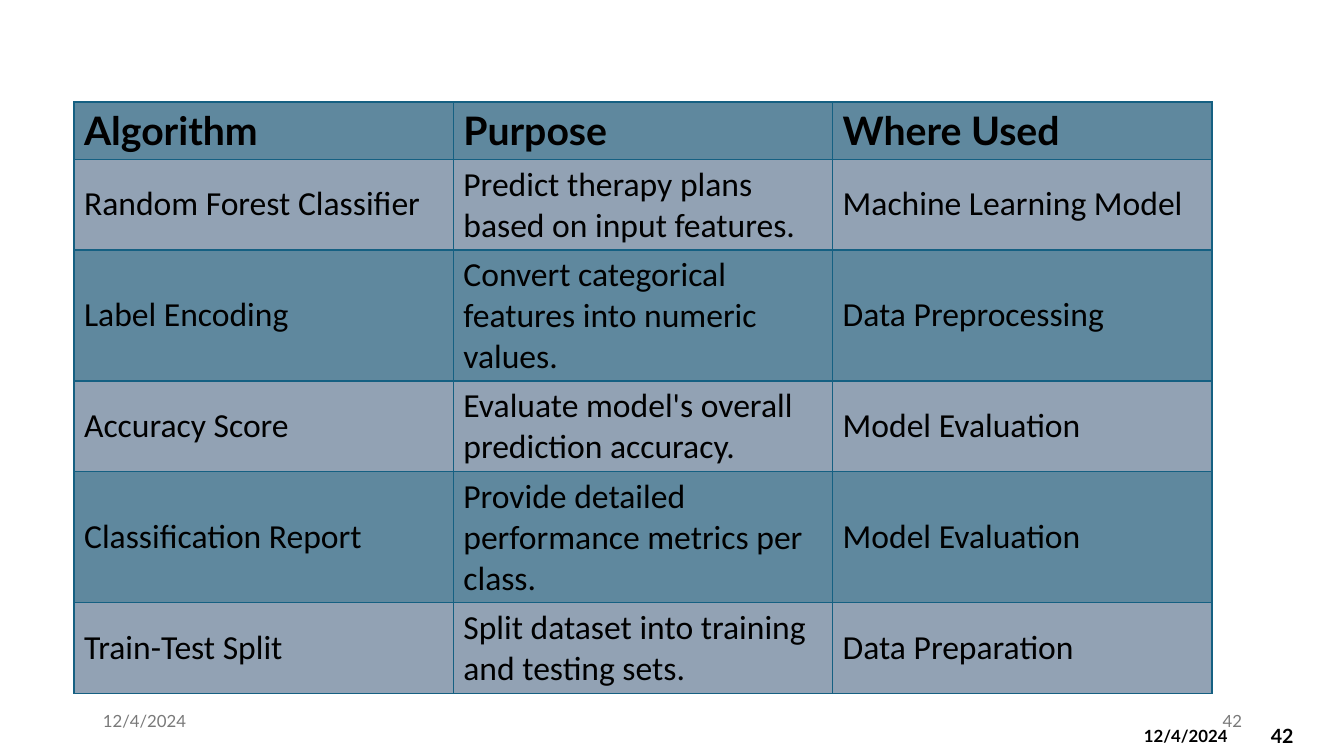
import pptx
import pptx.dml.color
import pptx.enum.text
import pptx.oxml
import pptx.oxml.ns
import pptx.util

RGBColor = pptx.dml.color.RGBColor
BLACK = RGBColor(0x00, 0x00, 0x00)
GREY = RGBColor(0x79, 0x79, 0x79)
BORDER = RGBColor(0x15, 0x60, 0x82)
DARK_BAND = RGBColor(0x5F, 0x88, 0x9E)
LIGHT_BAND = RGBColor(0x92, 0xA2, 0xB4)

ALIGN = pptx.enum.text.PP_ALIGN
MIDDLE = pptx.enum.text.MSO_ANCHOR.MIDDLE
TOP = pptx.enum.text.MSO_ANCHOR.TOP
EMU_PER_PX = 914400 / 100.8

DATE = "12/4/2024"
PAGE_NUMBER = "42"
HEADER_HEIGHT = 57
ROW_HEIGHTS = [HEADER_HEIGHT, 90, 131, 90, 131, 90]
ALGORITHMS = [
    ("Algorithm", "Purpose", "Where Used"),
    ("Random Forest Classifier", "Predict therapy plans based on input features.",
     "Machine Learning Model"),
    ("Label Encoding", "Convert categorical features into numeric values.",
     "Data Preprocessing"),
    ("Accuracy Score", "Evaluate model's overall prediction accuracy.",
     "Model Evaluation"),
    ("Classification Report", "Provide detailed performance metrics per class.",
     "Model Evaluation"),
    ("Train-Test Split", "Split dataset into training and testing sets.",
     "Data Preparation"),
]


def px(length):
    return pptx.util.Emu(round(length * EMU_PER_PX))


def add_span(para, text, font, size, color, bold=False):
    span = para.add_run()
    span.text = text
    span.font.name = font
    span.font.size = pptx.util.Pt(size)
    span.font.bold = bold
    span.font.color.rgb = color


def add_label(slide, box, text, size, color, bold=False, align=ALIGN.LEFT, anchor=MIDDLE):
    frame = slide.shapes.add_textbox(*map(px, box)).text_frame
    frame.word_wrap = True
    frame.vertical_anchor = anchor
    para = frame.paragraphs[0]
    para.alignment = align
    add_span(para, text, "Lato", size, color, bold)


def set_borders(cell):
    """Draw a 1 pt line on all four sides, ahead of the cell's fill."""
    properties = cell._tc.get_or_add_tcPr()
    for index, side in enumerate(("lnL", "lnR", "lnT", "lnB")):
        line = pptx.oxml.parse_xml(
            f'<a:{side} {pptx.oxml.ns.nsdecls("a")} w="12700"><a:solidFill>'
            f'<a:srgbClr val="{BORDER}"/></a:solidFill></a:{side}>')
        properties.insert(index, line)


def add_algorithm_table(slide, box):
    table = slide.shapes.add_table(
        len(ALGORITHMS), len(ALGORITHMS[0]), *map(px, box)).table
    for row, height in zip(table.rows, ROW_HEIGHTS):
        row.height = px(height)
    for row_index, texts in enumerate(ALGORITHMS):
        is_header = row_index == 0
        for column_index, text in enumerate(texts):
            cell = table.cell(row_index, column_index)
            cell.vertical_anchor = MIDDLE
            cell.fill.solid()
            cell.fill.fore_color.rgb = LIGHT_BAND if row_index % 2 else DARK_BAND
            set_borders(cell)
            add_span(cell.text_frame.paragraphs[0], text,
                     "Lato" if is_header else "Calibri",
                     28 if is_header else 24, BLACK, is_header)


def add_footer(slide, box):
    """Place the grey date and number, and the bold pair at the right edge."""
    left, top, width, height = box
    right = left + width
    label_width = 302
    add_label(slide, (left, top, label_width, height), DATE, 12, GREY)
    add_label(slide, (right - label_width, top, label_width, height),
              PAGE_NUMBER, 12, GREY, align=ALIGN.RIGHT)
    add_label(slide, (right - 118, top + 20, 118, 30), DATE, 12, BLACK, True, anchor=TOP)
    add_label(slide, (right + 9, top + 15, 75, height), PAGE_NUMBER, 14, BLACK, True)


def main():
    deck = pptx.Presentation()
    deck.slide_width, deck.slide_height = px(1344), px(756)
    slide = deck.slides.add_slide(deck.slide_layouts[6])
    add_footer(slide, (93, 701, 1159, 40))
    add_algorithm_table(slide, (74, 102, 1138, sum(ROW_HEIGHTS)))
    deck.save("out.pptx")


if __name__ == "__main__":
    main()
